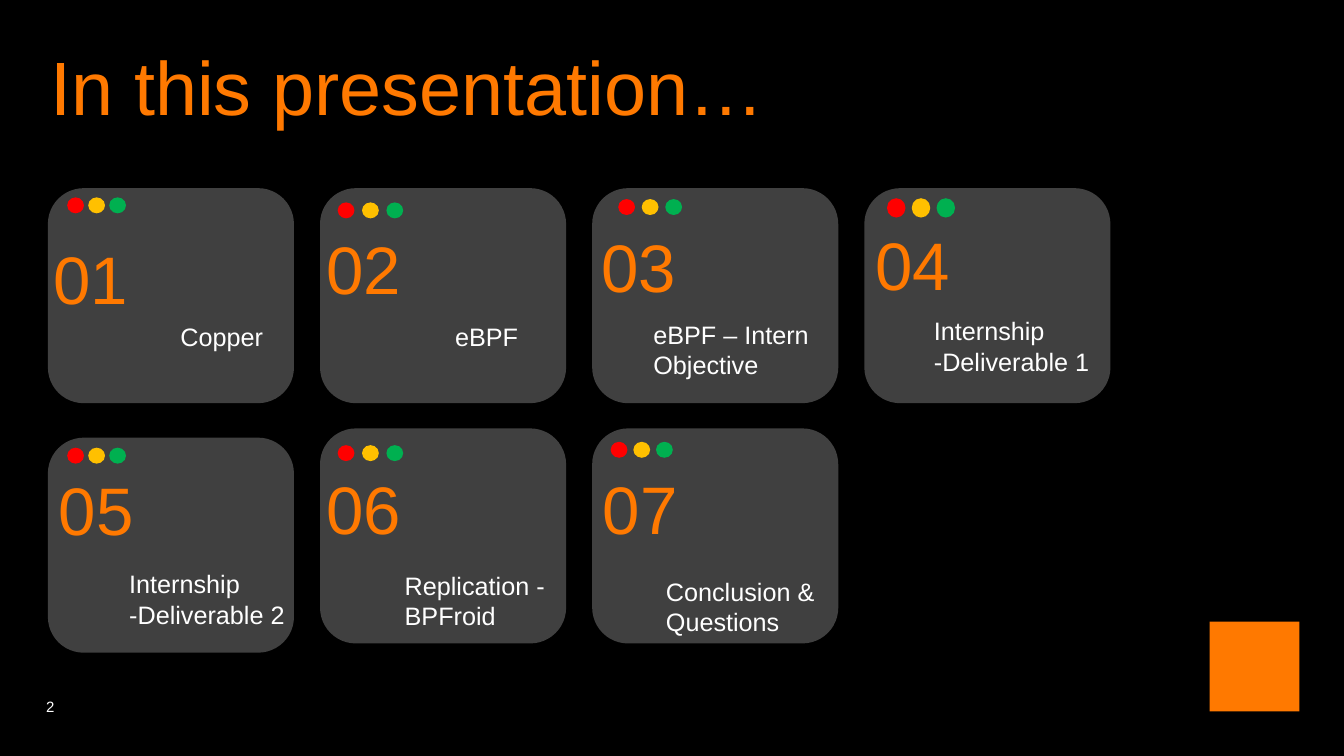
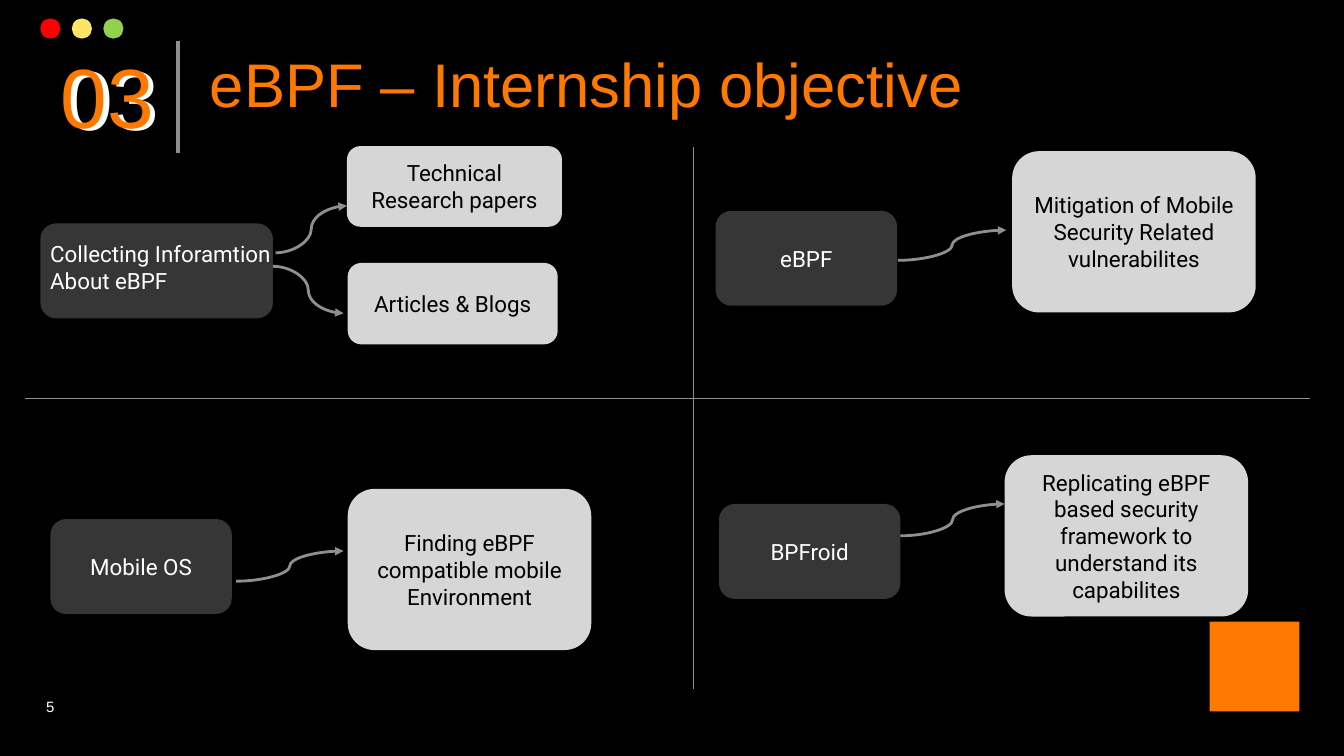
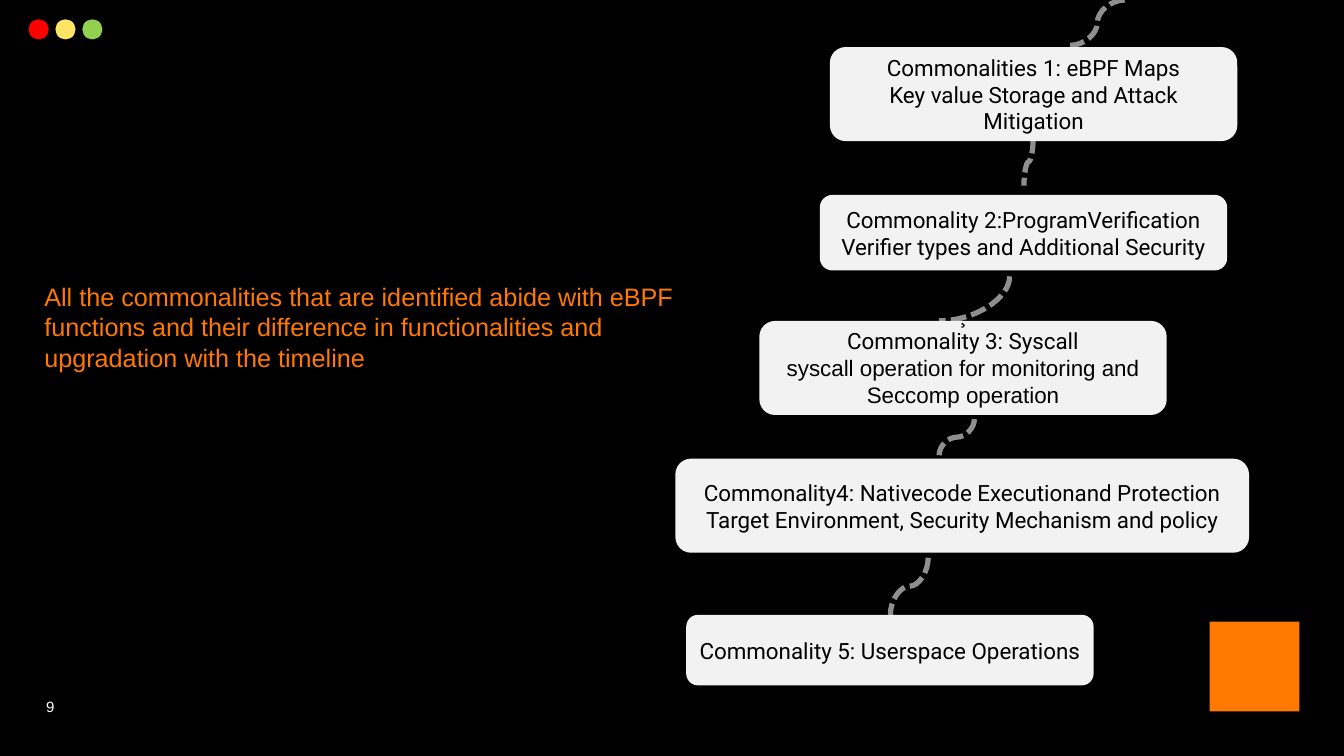
from dataclasses import dataclass

from lxml.etree import SubElement
from pptx import Presentation
from pptx.dml.color import RGBColor
from pptx.enum.dml import MSO_LINE
from pptx.enum.shapes import MSO_CONNECTOR, MSO_SHAPE
from pptx.enum.text import MSO_ANCHOR, PP_ALIGN
from pptx.oxml.ns import qn
from pptx.util import Emu, Pt

COLS, ROWS = 160, 90
CELL = 76200


@dataclass(frozen=True)
class Face:
    size: float
    hue: str
    font: str = "Arial"


@dataclass(frozen=True)
class Theme:
    back: str = "000000"
    accent: str = "FF7900"
    card: str = "404040"
    dark: str = "363636"
    light: str = "D6D6D6"
    pale: str = "F2F2F2"
    rule: str = "8F8F8F"
    deep: tuple = ("FF0000", "FFC000", "00B050")
    soft: tuple = ("FF0000", "FFE466", "92D050")
    opener: Face = Face(54, "FF7900")
    title: Face = Face(44, "FF7900")
    mark: Face = Face(60, "FF7900")
    shade: Face = Face(60, "FFFFFF")
    number: Face = Face(48, "FF7900")
    label: Face = Face(18, "FFFFFF")
    lead: Face = Face(18, "FF7900")
    page: Face = Face(10.7, "FFFFFF")
    bright: Face = Face(16, "FFFFFF", "Roboto")
    ink: Face = Face(16, "000000", "Roboto")
    plain: Face = Face(16, "000000")


LOOK = Theme()


def cells(*counts):
    return [Emu(round(count * CELL)) for count in counts]


def tint(hue):
    return RGBColor.from_string(hue)


def write(frame, lines, face, align=PP_ALIGN.LEFT):
    frame.word_wrap = True
    for index, line in enumerate(lines):
        words, style = line if isinstance(line, tuple) else (line, face)
        para = frame.paragraphs[0] if index == 0 else frame.add_paragraph()
        para.alignment = align
        run = para.add_run()
        run.text = words
        run.font.name = style.font
        run.font.size = Pt(style.size)
        run.font.color.rgb = tint(style.hue)


def text(slide, area, lines, face):
    frame = slide.shapes.add_textbox(*cells(*area)).text_frame
    write(frame, lines, face)
    return frame


def block(slide, kind, area, hue):
    shape = slide.shapes.add_shape(kind, *cells(*area))
    shape.shadow.inherit = False
    shape.fill.solid()
    shape.fill.fore_color.rgb = tint(hue)
    shape.line.fill.background()
    return shape


def box(slide, area, hue, lines=(), face=LOOK.ink):
    shape = block(slide, MSO_SHAPE.ROUNDED_RECTANGLE, area, hue)
    frame = shape.text_frame
    frame.vertical_anchor = MSO_ANCHOR.MIDDLE
    write(frame, lines, face, PP_ALIGN.CENTER)
    return frame


def lights(slide, left, top, step, hues, size=(2.4, 2.4)):
    for index, hue in enumerate(hues):
        block(slide, MSO_SHAPE.OVAL, (left + index * step, top, *size), hue)


def link(slide, start, end, width, kind=MSO_CONNECTOR.STRAIGHT, dash=None, arrow=False):
    line = slide.shapes.add_connector(kind, *cells(*start, *end))
    line.line.width = Pt(width)
    line.line.color.rgb = tint(LOOK.rule)
    if dash:
        line.line.dash_style = dash
    props = line._element.spPr
    if arrow:
        SubElement(props.find(qn("a:ln")), qn("a:tailEnd"), type="triangle")
    SubElement(props, qn("a:effectLst"))
    return props


def arrow(slide, start, end):
    link(slide, start, end, 2, MSO_CONNECTOR.CURVE, arrow=True)


def trail(slide, start, end):
    return link(slide, start, end, 3.75, MSO_CONNECTOR.CURVE, MSO_LINE.SQUARE_DOT)


def drop(slide, start, end, shape="curvedConnector3"):
    (left, top), (right, base) = start, end
    mid_x, mid_y = (left + right) / 2, (top + base) / 2
    half_w, half_h = (base - top) / 2, abs(right - left) / 2
    props = trail(slide, (mid_x - half_w, mid_y - half_h), (mid_x + half_w, mid_y + half_h))
    props.find(qn("a:xfrm")).set("rot", "5400000")
    props.find(qn("a:prstGeom")).set("prst", shape)


def start(deck, page):
    slide = deck.slides.add_slide(deck.slide_layouts[6])
    fill = slide.background.fill
    fill.solid()
    fill.fore_color.rgb = tint(LOOK.back)
    frame = text(slide, (5.5, 79.3, 4.8, 5.9), [str(page)], LOOK.page)
    frame.margin_left = frame.margin_right = frame.margin_top = frame.margin_bottom = 0
    frame.vertical_anchor = MSO_ANCHOR.BOTTOM
    frame.paragraphs[0].line_spacing = 0.85
    block(slide, MSO_SHAPE.RECTANGLE, (144, 74, 10.7, 10.7), LOOK.accent)
    return slide


def agenda(deck):
    slide = start(deck, 2)
    text(slide, (4.8, 4.1, 95.3, 12.1), ["In this presentation…"], LOOK.opener)
    cards = [
        (["Copper"], 0, (2.3, 1.1, 2.5), (-0.5, 5.3), (14.6, 15.2)),
        (["eBPF"], 0, (2.1, 1.7, 2.9), (-0.4, 4.1), (14.9, 15.2)),
        (["eBPF – Intern Objective"], 0, (3.1, 1.3, 2.8), (-0.1, 3.8), (6.1, 15)),
        (["Internship -Deliverable 1"], 0, (2.7, 1.2, 2.95), (0.1, 3.6), (7.1, 14.6)),
        (["Internship", "-Deliverable 2"], 1.1, (2.3, 1.2, 2.5), (0.1, 3.1), (8.5, 15)),
        (["Replication - BPFroid"], 0, (2.1, 2, 2.9), (-0.4, 4.1), (8.9, 16.3)),
        (["Conclusion & Questions"], 0, (2.2, 1.6, 2.7), (0.1, 4), (7.6, 17)),
    ]
    for index, (lines, shift, dots, number, label) in enumerate(cards):
        row, col = divmod(index, 4)
        left = 5.7 + col * 32.4
        top = 22.4 + row * 28.6 + shift
        box(slide, (left, top, 29.3, 25.6), LOOK.card)
        size = (2.2, 2.3) if index == 3 else (2, 1.9)
        lights(slide, left + dots[0], top + dots[1], dots[2], LOOK.deep, size)
        text(slide, (left + number[0], top + number[1], 14, 10.9), [f"{index + 1:02}"], LOOK.number)
        text(slide, (left + label[0], top + label[1], 23.6, 4.2 * len(lines)), lines, LOOK.label)


def goals(deck):
    slide = start(deck, 5)
    lights(slide, 4.8, 2.2, 3.75, LOOK.soft)
    text(slide, (6.7, 4.9, 14, 13.3), ["03"], LOOK.shade)
    text(slide, (6, 4.7, 14, 13.3), ["03"], LOOK.mark)
    text(slide, (23.8, 4.9, 136.2, 10.1), ["eBPF – Internship objective"], LOOK.title)
    link(slide, (21.2, 4.9), (21.2, 18.2), 2.5)
    link(slide, (82.6, 17.5), (82.6, 82), 0.75)
    link(slide, (3, 47.4), (156, 47.4), 0.75)

    box(slide, (4.8, 26.6, 27.7, 11.3), LOOK.dark)
    text(slide, (4.8, 28, 33.8, 7.7), ["Collecting Inforamtion", "About eBPF"], LOOK.bright)
    for words, left, top in [
        ("Mobile OS", 6, 61.8),
        ("eBPF", 85.2, 25.1),
        ("BPFroid", 85.6, 60),
    ]:
        box(slide, (left, top, 21.6, 11.3), LOOK.dark, [words], LOOK.bright)

    for words, area in [
        ("Technical Research papers", (41.3, 17.4, 25.6, 9.6)),
        ("Articles & Blogs", (41.4, 31.3, 25, 9.7)),
        ("Finding eBPF compatible mobile Environment", (41.4, 58.2, 29, 19.2)),
        ("Mitigation of Mobile Security Related vulnerabilites", (120.5, 18, 29, 19.2)),
        (
            "Replicating eBPF based security framework to understand its capabilites",
            (119.6, 54.2, 29, 19.2),
        ),
    ]:
        box(slide, area, LOOK.light, [words])

    for tail, head in [
        ((32.8, 30.1), (41.3, 24.5)),
        ((32.5, 31.7), (40.9, 37.3)),
        ((28.1, 69.2), (40.9, 65.6)),
        ((106.9, 31), (119.8, 27.4)),
        ((107.2, 63.8), (119.6, 60)),
    ]:
        arrow(slide, tail, head)


def traits(deck):
    slide = start(deck, 9)
    lights(slide, 3.4, 2.3, 3.2, LOOK.soft)
    trail(slide, (133.9, 0), (127.4, 5.4))
    drop(slide, (123, 16.4), (121.9, 22.1))
    drop(slide, (120.2, 32.9), (111.8, 38.2), "curvedConnector2")
    drop(slide, (116, 49.9), (111.8, 54.2))
    drop(slide, (110.5, 66.4), (106, 73.2))

    wide = 48.5
    steps = [
        (
            (98.8, 5.6, wide, 11.2),
            ["Commonalities 1: eBPF Maps", "Key value Storage and Attack Mitigation"],
        ),
        (
            (97.6, 23.2, wide, 9),
            ["Commonality 2:ProgramVerification", "Verifier types and Additional Security"],
        ),
        (
            (90.4, 38.2, wide, 11.2),
            [
                "¸",
                "Commonality 3: Syscall",
                ("syscall operation for monitoring and Seccomp operation", LOOK.plain),
            ],
        ),
        (
            (80.4, 54.6, 68.3, 11.2),
            [
                "Commonality4: Nativecode Executionand Protection",
                "Target Environment, Security Mechanism and policy",
            ],
        ),
        ((81.7, 73.2, wide, 8.4), ["Commonality 5: Userspace Operations"]),
    ]
    frames = [box(slide, area, LOOK.pale, lines) for area, lines in steps]
    frames[2].margin_bottom = cells(3.8)[0]
    text(
        slide,
        (4.1, 32.9, 78, 12.1),
        [
            "All the commonalities that are identified abide with eBPF functions and "
            "their difference in functionalities and upgradation with the timeline"
        ],
        LOOK.lead,
    )


def main():
    deck = Presentation()
    deck.slide_width, deck.slide_height = cells(COLS, ROWS)
    agenda(deck)
    goals(deck)
    traits(deck)
    deck.save("out.pptx")


if __name__ == "__main__":
    main()
